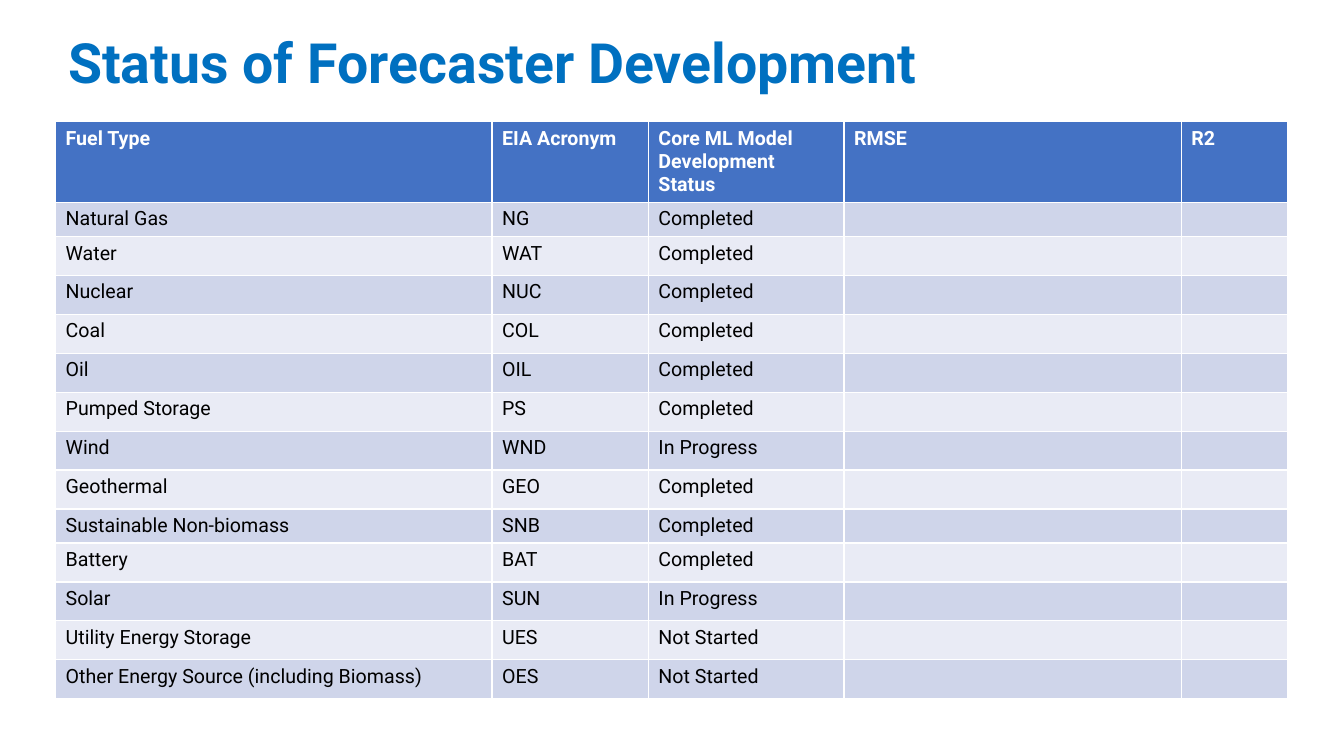
from pptx import Presentation
from pptx.dml.color import RGBColor
from pptx.enum.text import MSO_ANCHOR as Anchor
from pptx.oxml.ns import qn
from pptx.util import Cm, Pt
from lxml.etree import SubElement

TITLE = "Status of Forecaster Development"
HEADER = ("Fuel Type", "EIA Acronym", "Core ML Model Development Status", "RMSE", "R2")
FUELS = [
    ("Natural Gas", "NG", "Completed"),
    ("Water", "WAT", "Completed"),
    ("Nuclear", "NUC", "Completed"),
    ("Coal", "COL", "Completed"),
    ("Oil", "OIL", "Completed"),
    ("Pumped Storage", "PS", "Completed"),
    ("Wind", "WND", "In Progress"),
    ("Geothermal", "GEO", "Completed"),
    ("Sustainable Non-biomass", "SNB", "Completed"),
    ("Battery", "BAT", "Completed"),
    ("Solar", "SUN", "In Progress"),
    ("Utility Energy Storage", "UES", "Not Started"),
    ("Other Energy Source (including Biomass)", "OES", "Not Started"),
]
FONT = "Roboto"
TEXT_SIZE = 14
COLUMN_WIDTHS = (11, 3.94, 4.93, 8.5, 2.69)
HEADER_HEIGHT, ROW_HEIGHT, LOW_ROW_HEIGHT = 1.98, 0.98, 0.86
LOW_FUELS = ("Natural Gas", "Sustainable Non-biomass")
HEADER_FILL = "4472C4"
BAND_FILLS = ("E9EBF5", "CFD5EA")


def color(value):
    return RGBColor.from_string(value)


def style_text(para, size, value, bold):
    for span in para.runs:
        span.font.name = FONT
        span.font.size = Pt(size)
        span.font.bold = bold
        span.font.color.rgb = color(value)


def fill_cell(cell, text, fill, text_color, bold):
    cell.fill.solid()
    cell.fill.fore_color.rgb = color(fill)
    cell.text_frame.text = text
    para = cell.text_frame.paragraphs[0]
    style_text(para, TEXT_SIZE, text_color, bold)
    if not text:
        SubElement(para._p, qn("a:endParaRPr"), sz=str(TEXT_SIZE * 100))


def add_title(page):
    box = page.shapes.add_textbox(Cm(1.47), Cm(0.74), Cm(31.67), Cm(1.83))
    frame = box.text_frame
    frame.word_wrap = True
    frame.vertical_anchor = Anchor.MIDDLE
    frame.text = TITLE
    para = frame.paragraphs[0]
    para.line_spacing = 0.9
    style_text(para, 39.6, "0070C0", True)


def add_status_table(page):
    heights = [HEADER_HEIGHT] + [
        LOW_ROW_HEIGHT if fuel[0] in LOW_FUELS else ROW_HEIGHT for fuel in FUELS
    ]
    table = page.shapes.add_table(
        len(heights), len(HEADER), Cm(1.4), Cm(3.07),
        Cm(sum(COLUMN_WIDTHS)), Cm(sum(heights)),
    ).table
    for column, width in zip(table.columns, COLUMN_WIDTHS):
        column.width = Cm(width)
    for row, height in zip(table.rows, heights):
        row.height = Cm(height)
    for index, text in enumerate(HEADER):
        fill_cell(table.cell(0, index), text, HEADER_FILL, "FFFFFF", True)
    for number, fuel in enumerate(FUELS, 1):
        for index, text in enumerate(fuel + ("", "")):
            fill_cell(table.cell(number, index), text, BAND_FILLS[number % 2], "000000", False)


def main():
    deck = Presentation()
    deck.slide_width, deck.slide_height = Cm(33.87), Cm(19.05)
    page = deck.slides.add_slide(deck.slide_layouts[6])
    add_title(page)
    add_status_table(page)
    deck.save("out.pptx")


if __name__ == "__main__":
    main()
